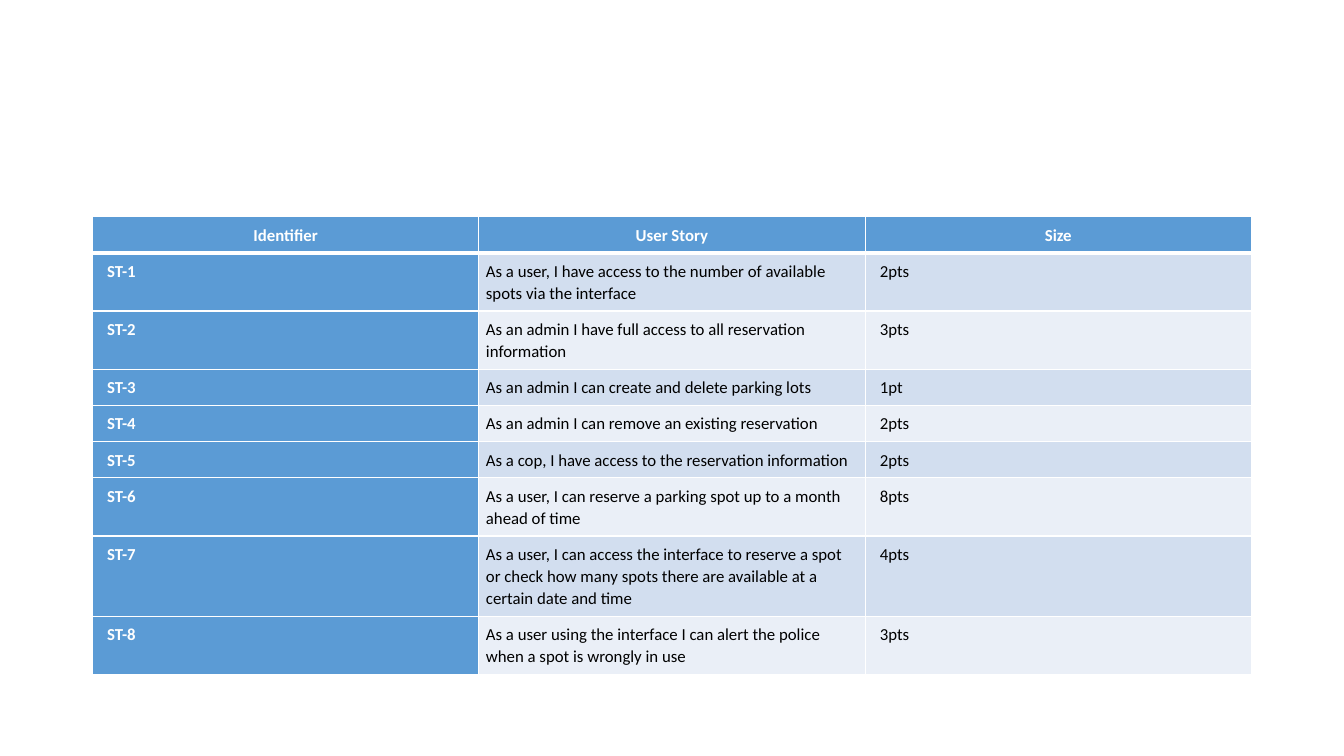
from dataclasses import dataclass

from lxml.etree import SubElement
from pptx import Presentation
from pptx.dml.color import RGBColor as Rgb
from pptx.enum.text import PP_ALIGN as Align
from pptx.oxml.ns import qn
from pptx.util import Cm, Pt


@dataclass(frozen=True)
class Theme:
    font: str = "Calibri"
    text_size: float = 12
    line_spacing: float = 1.07
    accent: str = "5B9BD5"
    bands: tuple = ("D2DEEF", "EAEFF7")
    light: str = "FFFFFF"
    dark: str = "000000"
    rule: float = 1
    header_rule: float = 3
    padding: float = 0.18
    indent: float = 0.19
    row_height: float = 0.9
    extra_line: float = 0.56


HEADINGS = ("Identifier", "User Story", "Size")

# Identifier, story, size, number of lines the story takes
STORIES = (
    ("ST-1", "As a user, I have access to the number of available spots via the interface", "2pts", 2),
    ("ST-2", "As an admin I have full access to all reservation information", "3pts", 2),
    ("ST-3", "As an admin I can create and delete parking lots", "1pt", 1),
    ("ST-4", "As an admin I can remove an existing reservation", "2pts", 1),
    ("ST-5", "As a cop, I have access to the reservation information", "2pts", 1),
    ("ST-6", "As a user, I can reserve a parking spot up to a month ahead of time", "8pts", 2),
    ("ST-7", "As a user, I can access the interface to reserve a spot or check how many "
             "spots there are available at a certain date and time", "4pts", 3),
    ("ST-8", "As a user using the interface I can alert the police when a spot is wrongly in use", "3pts", 2),
)


class StorySlide:
    def __init__(self, slide, theme):
        self.slide = slide
        self.theme = theme

    def add_borders(self, cell, top, bottom):
        """Draw the four cell edges; top and bottom are widths in points."""
        theme = self.theme
        properties = cell._tc.get_or_add_tcPr()
        widths = {"a:lnL": theme.rule, "a:lnR": theme.rule, "a:lnT": top, "a:lnB": bottom}
        for edge, width in widths.items():
            line = SubElement(properties, qn(edge), w=str(Pt(width)))
            fill = SubElement(line, qn("a:solidFill"))
            SubElement(fill, qn("a:srgbClr"), val=theme.light)

    def fill_cell(self, cell, text, background, emphasis, align, indent=0):
        theme = self.theme
        cell.fill.solid()
        cell.fill.fore_color.rgb = Rgb.from_string(background)
        cell.margin_top = cell.margin_bottom = cell.margin_right = Cm(theme.padding)
        cell.margin_left = Cm(theme.padding + indent)
        paragraph = cell.text_frame.paragraphs[0]
        paragraph.alignment = align
        paragraph.line_spacing = theme.line_spacing
        run = paragraph.add_run()
        run.text = text
        run.font.name = theme.font
        run.font.size = Pt(theme.text_size)
        run.font.bold = emphasis
        run.font.color.rgb = Rgb.from_string(theme.light if emphasis else theme.dark)

    def add_story_table(self, left, top, width):
        theme = self.theme
        line_counts = [1] + [story[-1] for story in STORIES]
        heights = [theme.row_height + theme.extra_line * (lines - 1) for lines in line_counts]
        table = self.slide.shapes.add_table(
            len(heights), len(HEADINGS), Cm(left), Cm(top), Cm(width), Cm(sum(heights))
        ).table
        table.first_col = True
        for row, height in zip(table.rows, heights):
            row.height = Cm(height)

        for column, heading in enumerate(HEADINGS):
            cell = table.cell(0, column)
            self.add_borders(cell, theme.rule, theme.header_rule)
            self.fill_cell(cell, heading, theme.accent, True, Align.CENTER)

        for row, (*texts, _) in enumerate(STORIES, start=1):
            band = theme.bands[(row - 1) % len(theme.bands)]
            for column, text in enumerate(texts):
                cell = table.cell(row, column)
                is_identifier = column == 0
                self.add_borders(cell, theme.header_rule if row == 1 else theme.rule, theme.rule)
                self.fill_cell(
                    cell, text, theme.accent if is_identifier else band, is_identifier,
                    Align.LEFT, 0 if HEADINGS[column] == "User Story" else theme.indent,
                )


def main():
    deck = Presentation()
    deck.slide_width, deck.slide_height = Cm(33.87), Cm(19.05)
    blank_layout = deck.slide_layouts[6]
    backlog = StorySlide(deck.slides.add_slide(blank_layout), Theme())
    backlog.add_story_table(left=2.33, top=5.46, width=29.21)
    deck.save("out.pptx")


if __name__ == "__main__":
    main()
